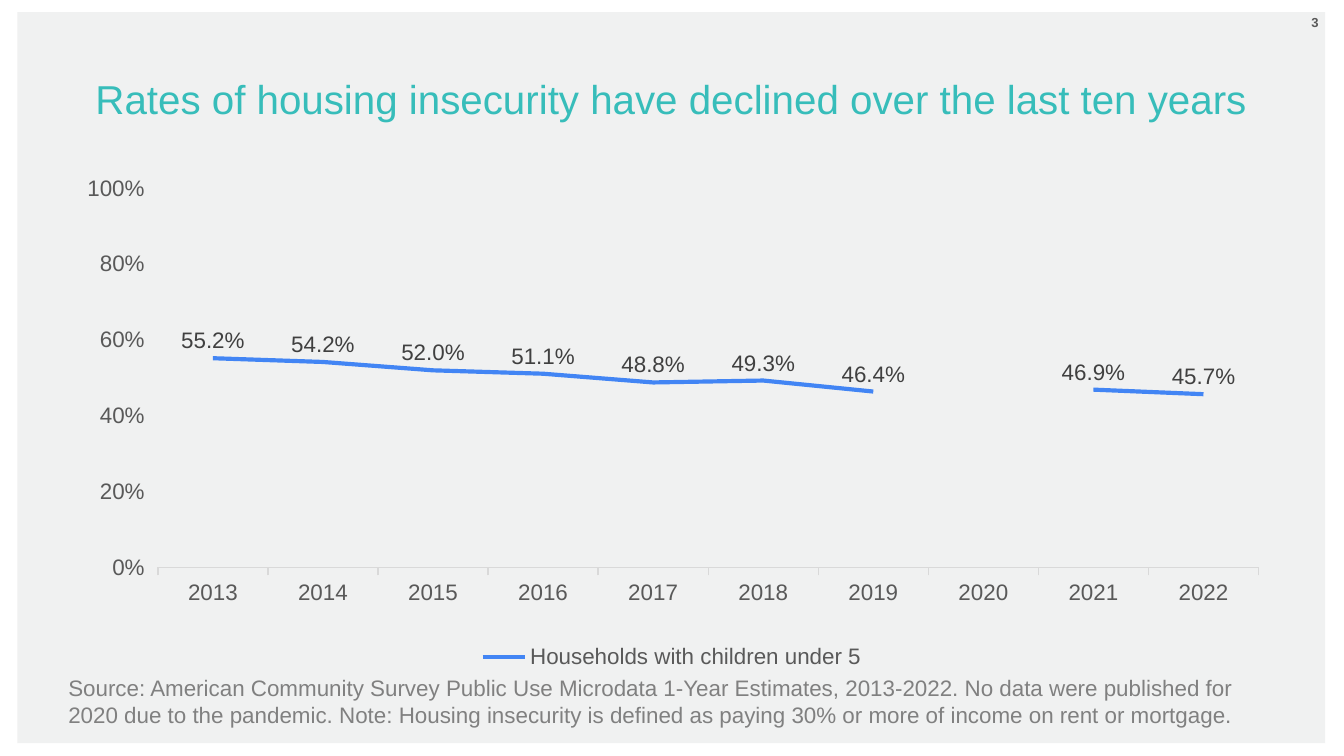
from lxml.etree import SubElement
from pptx import Presentation
from pptx.chart.data import CategoryChartData
from pptx.dml.color import RGBColor
from pptx.enum.chart import XL_CHART_TYPE, XL_LABEL_POSITION, XL_LEGEND_POSITION, XL_TICK_MARK
from pptx.enum.shapes import MSO_SHAPE
from pptx.enum.text import MSO_ANCHOR, PP_ALIGN
from pptx.oxml.ns import qn
from pptx.util import Inches, Pt

COLORS = {
    "panel": "F0F1F1",
    "title": "37BDBA",
    "axis_text": "595959",
    "axis_line": "D9D9D9",
    "series": "4285F4",
    "label": "404040",
    "source": "808080",
}
FONT = "Arial"
YEARS = [str(year) for year in range(2013, 2023)]
RATES = [0.552, 0.542, 0.52, 0.511, 0.488, 0.493, 0.464, None, 0.469, 0.457]
SOURCE = (
    "Source: American Community Survey Public Use Microdata 1-Year Estimates, 2013-2022. "
    "No data were published for 2020 due to the pandemic. Note: Housing insecurity is "
    "defined as paying 30% or more of income on rent or mortgage."
)


def rgb(name):
    """Return the named palette color."""
    return RGBColor.from_string(COLORS[name])


def style_font(font, size, color, bold=False):
    """Apply the slide typeface with a size, color and weight."""
    font.name = FONT
    font.size = Pt(size)
    font.bold = bold
    font.color.rgb = rgb(color)


def fill_text(shape, text, size, color, inset, anchor, alignment=PP_ALIGN.LEFT, bold=False):
    """Write one formatted paragraph into a shape."""
    frame = shape.text_frame
    frame.text = text
    frame.word_wrap = True
    frame.vertical_anchor = anchor
    frame.margin_left = frame.margin_right = Inches(0.1)
    frame.margin_top = frame.margin_bottom = Inches(inset)
    paragraph = frame.paragraphs[0]
    paragraph.alignment = alignment
    style_font(paragraph.runs[0].font, size, color, bold)


def add_panel(slide, left, top, width, height):
    """Place the grey panel behind everything else."""
    panel = slide.shapes.add_shape(
        MSO_SHAPE.RECTANGLE, Inches(left), Inches(top), Inches(width), Inches(height)
    )
    panel.shadow.inherit = False
    panel.fill.solid()
    panel.fill.fore_color.rgb = rgb("panel")
    panel.line.fill.background()
    slide.shapes._spTree.insert(2, panel._element)


def add_title(slide, text, left, top, width, height):
    """Move and format the title placeholder."""
    title = slide.shapes.title
    title.left, title.top = Inches(left), Inches(top)
    title.width, title.height = Inches(width), Inches(height)
    fill_text(title, text, 21.6, "title", 0.1, MSO_ANCHOR.MIDDLE)


def add_text(slide, box, text, size, color, inset, **formatting):
    """Add a text box in the given box."""
    shape = slide.shapes.add_textbox(*(Inches(length) for length in box))
    fill_text(shape, text, size, color, inset, MSO_ANCHOR.TOP, **formatting)


def set_plot_layout(chart, left, top, width, height):
    """Fix the inner plot area as fractions of the chart."""
    plot_area = chart._chartSpace.chart.plotArea
    layout = plot_area.find(qn("c:layout"))
    if layout is None:
        layout = SubElement(plot_area, qn("c:layout"))
        plot_area.insert(0, layout)
    manual = SubElement(layout, qn("c:manualLayout"))
    settings = {
        "layoutTarget": "inner", "xMode": "edge", "yMode": "edge",
        "x": left, "y": top, "w": width, "h": height,
    }
    for name, value in settings.items():
        SubElement(manual, qn(f"c:{name}")).set("val", str(value))


def format_axes(chart):
    """Format the year and percentage axes."""
    for axis in (chart.category_axis, chart.value_axis):
        axis.has_major_gridlines = False
        axis.major_tick_mark = XL_TICK_MARK.OUTSIDE
        axis.minor_tick_mark = XL_TICK_MARK.NONE
        style_font(axis.tick_labels.font, 12, "axis_text")
    year_line = chart.category_axis.format.line
    year_line.color.rgb = rgb("axis_line")
    year_line.width = Pt(0.75)
    rate_axis = chart.value_axis
    rate_axis.minimum_scale, rate_axis.maximum_scale = 0, 1
    rate_axis.major_unit = 0.2
    rate_axis.tick_labels.number_format = "0%"
    rate_axis.tick_labels.number_format_is_linked = False
    rate_axis.format.line.fill.background()


def format_series(series):
    """Format the line and its value labels."""
    series.smooth = False
    series.format.line.color.rgb = rgb("series")
    series.format.line.width = Pt(2.25)
    labels = series.data_labels
    labels.show_value = True
    labels.position = XL_LABEL_POSITION.ABOVE
    labels.number_format = "0.0%"
    labels.number_format_is_linked = False
    style_font(labels.font, 12, "label")


def add_rate_chart(slide, left, top, width, height):
    """Add the line chart of housing insecurity rates."""
    data = CategoryChartData(number_format="0.0%")
    data.categories = YEARS
    data.add_series("Households with children under 5", RATES)
    chart = slide.shapes.add_chart(
        XL_CHART_TYPE.LINE, Inches(left), Inches(top), Inches(width), Inches(height), data
    ).chart
    chart.has_title = False
    chart.font.name = FONT
    chart.font.size = Pt(10)
    chart.plots[0].vary_by_categories = False
    chart.has_legend = True
    chart.legend.position = XL_LEGEND_POSITION.BOTTOM
    chart.legend.include_in_layout = False
    style_font(chart.legend.font, 12, "axis_text")
    format_axes(chart)
    format_series(chart.plots[0].series[0])
    set_plot_layout(chart, 0.075, 0.025, 0.91, 0.76)


def main():
    """Build and save the presentation."""
    presentation = Presentation()
    presentation.slide_width = Inches(10)
    presentation.slide_height = Inches(10 * 9 / 16)
    slide = presentation.slides.add_slide(presentation.slide_layouts[5])
    add_panel(slide, 0.13, 0.09, 9.73, 5.44)
    add_text(slide, (9.31, 0.05, 0.6, 0.43), "3", 7, "axis_text", 0.14,
             alignment=PP_ALIGN.RIGHT, bold=True)
    add_title(slide, "Rates of housing insecurity have declined over the last ten years",
              0.61, 0.26, 9.09, 0.95)
    add_rate_chart(slide, 0.5, 1.31, 9, 3.71)
    add_text(slide, (0.41, 4.97, 9, 0.5), SOURCE, 12, "source", 0.05)
    presentation.save("out.pptx")


if __name__ == "__main__":
    main()
